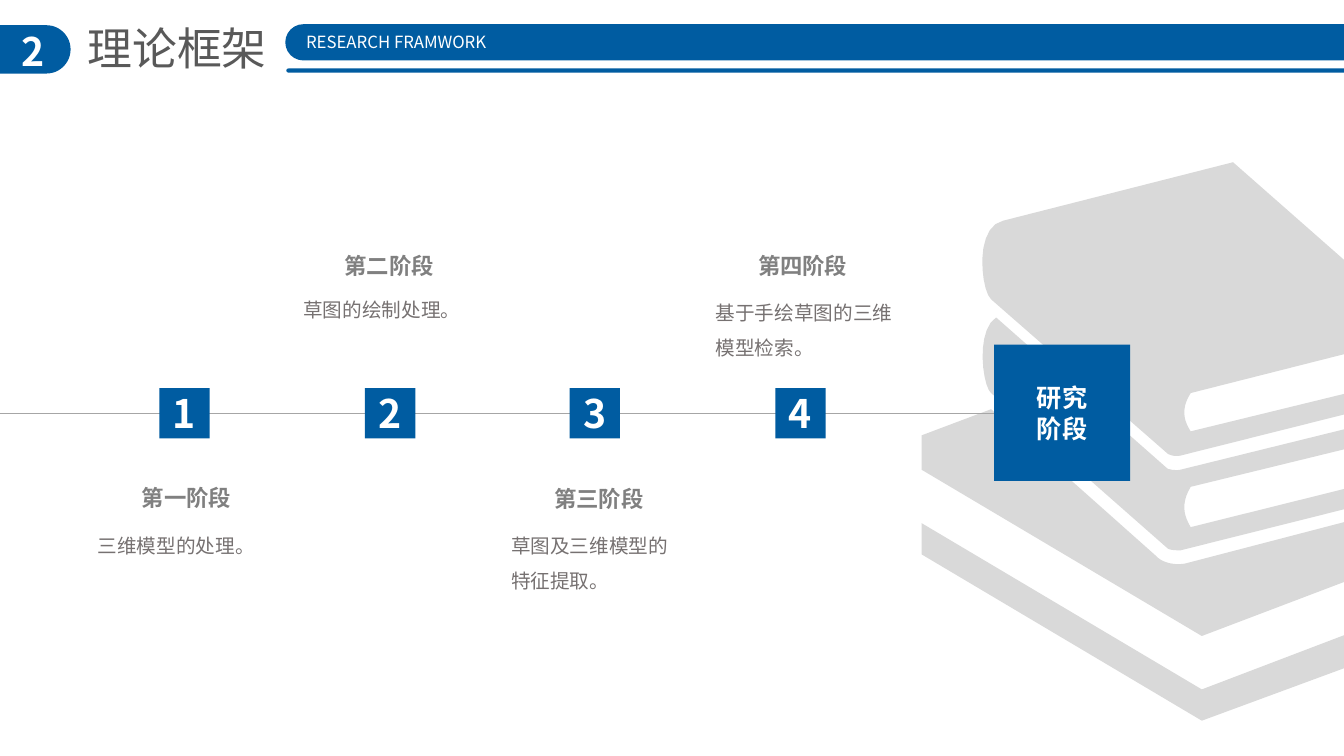
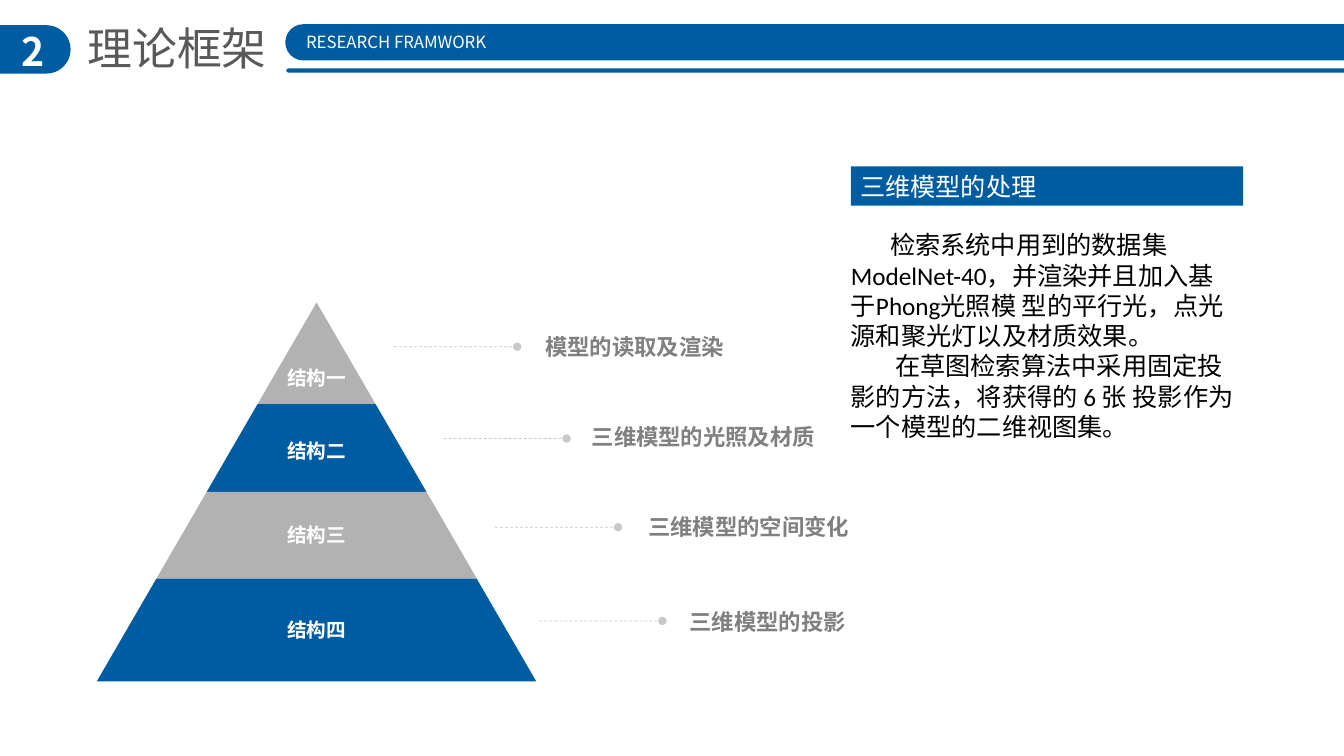
from pptx import Presentation
from pptx.dml.color import RGBColor
from pptx.enum.dml import MSO_LINE
from pptx.enum.shapes import MSO_CONNECTOR, MSO_SHAPE
from pptx.enum.text import MSO_ANCHOR, MSO_AUTO_SIZE, PP_ALIGN
from pptx.oxml.ns import qn
from pptx.util import Emu, Pt
from lxml import etree

PX = 9144
FINE = 12
CURVE_STEPS = 10
BLANK_LAYOUT = 6
FONT = "Noto Sans CJK SC"
BODY_FONT = "Calibri"

BLUE = RGBColor(0x00, 0x5C, 0xA1)
WHITE = RGBColor(0xFF, 0xFF, 0xFF)
BLACK = RGBColor(0x00, 0x00, 0x00)
TITLE_GRAY = RGBColor(0x59, 0x59, 0x59)
LABEL_GRAY = RGBColor(0x80, 0x80, 0x80)
BODY_GRAY = RGBColor(0x76, 0x71, 0x71)
AXIS_GRAY = RGBColor(0xA6, 0xA6, 0xA6)
TIER_GRAY = RGBColor(0xB2, 0xB2, 0xB2)
BOOK_GRAY = RGBColor(0xD9, 0xD9, 0xD9)

RECTANGLE = MSO_SHAPE.RECTANGLE
ROUNDED = MSO_SHAPE.ROUNDED_RECTANGLE
STRAIGHT = MSO_CONNECTOR.STRAIGHT
DASH = MSO_LINE.DASH
MIDDLE = MSO_ANCHOR.MIDDLE
LEFT = PP_ALIGN.LEFT
CENTER = PP_ALIGN.CENTER
FIT_TEXT = MSO_AUTO_SIZE.SHAPE_TO_FIT_TEXT

BOOK_OUTLINES = [
    [(484, 249), (484, 269), (267, 322), (258, 337, 259, 349, 267, 362),
     (484, 308), (484, 328), (257, 385), (252, 385, 247, 385, 244, 383),
     (69, 229), (61, 223, 53, 168, 74, 154), (244, 304),
     (247, 305, 252, 306, 257, 305)],
    [(81, 58), (309, 0), (484, 154), (484, 174), (267, 229),
     (258, 243, 259, 255, 267, 267), (484, 214), (484, 234), (257, 291),
     (252, 292, 247, 291, 244, 289), (69, 136), (59, 127, 52, 64, 81, 58)],
    [(278, 523), (0, 358), (0, 389), (278, 554), (438, 495), (438, 462)],
    [(519, 417), (452, 441), (452, 540), (485, 500), (519, 515), (519, 465),
     (548, 454), (562, 448, 567, 443, 567, 430), (567, 352),
     (567, 346, 564, 341, 559, 338), (496, 301), (496, 337), (262, 398),
     (252, 400, 239, 398, 232, 390), (69, 245), (0, 271), (0, 305),
     (278, 470), (536, 372), (536, 424), (519, 431)],
]

STAGES = [
    ("第一阶段", (131, 475), "三维模型的处理。", (87, 513, 199, 41)),
    ("第二阶段", (332, 245), "草图的绘制处理。", (291, 279, 204, 41)),
    ("第三阶段", (540, 476), "草图及三维模型的特征提取。", (497, 513, 195, 77)),
    ("第四阶段", (742, 245), "基于手绘草图的三维模型检索。", (700, 282, 207, 77)),
]

TIERS = [
    ("结构一", 0, 101, 58),
    ("结构二", 101, 188, 131),
    ("结构三", 188, 274, 214),
    ("结构四", 274, 376, 308),
]

CALLOUTS = [
    ("模型的读取及渲染", (391, 344), (531, 326, 200, 37)),
    ("三维模型的光照及材质", (440, 435), (577, 415, 245, 37)),
    ("三维模型的空间变化", (491, 523), (633, 504, 222, 37)),
    ("三维模型的投影", (535, 616), (674, 598, 177, 37)),
]

MODEL_NOTES = [
    ("检索系统中用到的数据集 ModelNet-40，并渲染并且加入基于Phong光照模 型的平行光，点光源和聚光灯以及材质效果。", 39),
    ("在草图检索算法中采用固定投影的方法，将获得的 6 张 投影作为一个模型的二维视图集。", 44),
]


def px(*lengths):
    return [Emu(round(length * PX)) for length in lengths]


def write(paragraph, text, *, size, color, bold=False, align=LEFT,
          spacing=None, indent=0, font=FONT):
    paragraph.alignment = align
    if spacing:
        paragraph.line_spacing = spacing
    if indent:
        paragraph._p.get_or_add_pPr().set("indent", str(indent * PX))
    run = paragraph.add_run()
    run.text = text
    run.font.size = Pt(size)
    run.font.bold = bold
    run.font.color.rgb = color
    run.font.name = font
    east_asian = etree.SubElement(run._r.get_or_add_rPr(), qn("a:ea"))
    east_asian.set("typeface", FONT)


def add_text_box(slide, box, wrap=True):
    frame = slide.shapes.add_textbox(*px(*box)).text_frame
    frame.word_wrap = wrap
    frame.auto_size = FIT_TEXT
    return frame


def add_text(slide, box, text, wrap=True, **text_format):
    write(add_text_box(slide, box, wrap).paragraphs[0], text, **text_format)


def paint(shape, color):
    shape.shadow.inherit = False
    shape.fill.solid()
    shape.fill.fore_color.rgb = color
    shape.line.fill.background()


def add_block(slide, box, kind=RECTANGLE):
    shape = slide.shapes.add_shape(kind, *px(*box))
    paint(shape, BLUE)
    if kind == ROUNDED:
        shape.adjustments[0] = 0.5
    return shape


def add_block_text(slide, box, text, margin, **text_format):
    frame = add_block(slide, box).text_frame
    frame.word_wrap = True
    frame.vertical_anchor = MIDDLE
    frame.margin_left, frame.margin_right = px(margin, margin)
    frame.margin_top = frame.margin_bottom = 0
    write(frame.paragraphs[0], text, color=WHITE, **text_format)


def add_line(slide, left, top, length, color):
    connector = slide.shapes.add_connector(
        STRAIGHT, *px(left, top, left + length, top))
    connector.line.width = Pt(0.5)
    connector.line.color.rgb = color
    etree.SubElement(connector.element.spPr, qn("a:effectLst"))
    return connector


def add_leader(slide, left, top, length):
    connector = add_line(slide, left, top, length, TIER_GRAY)
    connector.line.dash_style = DASH
    line = connector.element.spPr.find(qn("a:ln"))
    color = line.find(".//" + qn("a:srgbClr"))
    etree.SubElement(color, qn("a:alpha")).set("val", "70000")
    etree.SubElement(line, qn("a:tailEnd")).set("type", "oval")


def flatten(outline):
    points = [outline[0]]
    for segment in outline[1:]:
        if len(segment) == 2:
            points.append(segment)
            continue
        x0, y0 = points[-1]
        x1, y1, x2, y2, x3, y3 = segment
        for step in range(1, CURVE_STEPS + 1):
            t = step / CURVE_STEPS
            u = 1 - t
            weights = u ** 3, 3 * u * u * t, 3 * u * t * t, t ** 3
            points.append(tuple(
                sum(weight * value for weight, value in zip(weights, values))
                for values in ((x0, x1, x2, x3), (y0, y1, y2, y3))))
    return points


def add_outline(slide, left, top, outlines, color):
    builder = None
    for outline in outlines:
        points = [(round((left + x) * FINE), round((top + y) * FINE))
                  for x, y in flatten(outline)]
        if builder is None:
            builder = slide.shapes.build_freeform(*points[0], scale=PX / FINE)
        else:
            builder.move_to(*points[0])
        builder.add_line_segments(points[1:], close=True)
    paint(builder.convert_to_shape(), color)


def add_header(slide, left, top):
    add_block(slide, (left - 28, top + 9, 98, 48), ROUNDED)
    add_text(slide, (left + 7, top + 6, 51, 57), "2",
             size=28, color=WHITE, bold=True, align=CENTER)
    add_text(slide, (left + 77, top, 200, 64), "理论框架", wrap=False,
             size=32, color=TITLE_GRAY)
    add_block(slide, (left + 283, top + 8, 1103, 36), ROUNDED)
    add_block(slide, (left + 284, top + 52, 1103, 4), ROUNDED)
    add_text(slide, (left + 287, top + 11, 212, 30), "RESEARCH FRAMWORK",
             wrap=False, size=12, color=WHITE, align=CENTER)


def add_timeline(slide, left, axis):
    add_line(slide, left - 14, axis, 1000, AXIS_GRAY)
    for index, (title, corner, detail, detail_box) in enumerate(STAGES):
        marker_left = left + 158 + round(index * 611 / 3)
        add_block_text(slide, (marker_left, axis - 25, 50, 50), str(index + 1), 0,
                       size=28, bold=True, align=CENTER)
        add_text(slide, (*corner, 110, 37), title, wrap=False,
                 size=16, color=LABEL_GRAY, bold=True)
        add_text(slide, detail_box, detail, size=14, color=BODY_GRAY, spacing=1.5)
    add_block_text(slide, (left + 986, axis - 68, 135, 135), "研究阶段", 40,
                   size=18, bold=True, align=CENTER)


def add_pyramid(slide, left, top, width, height):
    middle = left + width / 2
    for index, (label, upper, lower, label_top) in enumerate(TIERS):
        near, far = (depth * width / height / 2 for depth in (upper, lower))
        tier = [(-near, upper), (near, upper), (far, lower), (-far, lower)]
        add_outline(slide, middle, top, [tier], BLUE if index % 2 else TIER_GRAY)
        add_text(slide, (middle - 39, top + label_top, 79, 34), label, wrap=False,
                 size=14, color=WHITE, bold=True)


def add_callouts(slide):
    for label, start, label_box in CALLOUTS:
        add_leader(slide, *start, 122)
        add_text(slide, label_box, label, wrap=False,
                 size=16, color=LABEL_GRAY, bold=True)


def add_model_panel(slide, left, top):
    add_block_text(slide, (left, top, 389, 39), "三维模型的处理", 9, size=18)
    frame = add_text_box(slide, (left - 10, top + 58, 403, 222))
    for index, (text, indent) in enumerate(MODEL_NOTES):
        paragraph = frame.add_paragraph() if index else frame.paragraphs[0]
        write(paragraph, text, size=18, color=BLACK, indent=indent, font=BODY_FONT)


def build_stages_slide(slide):
    add_outline(slide, 914, 161, BOOK_OUTLINES, BOOK_GRAY)
    add_header(slide, 0, 16)
    add_timeline(slide, 0, 410)


def build_structure_slide(slide):
    add_header(slide, 0, 16)
    add_callouts(slide)
    add_pyramid(slide, 96, 300, 436, 376)
    add_model_panel(slide, 844, 165)


def main():
    presentation = Presentation()
    presentation.slide_width, presentation.slide_height = px(1333, 750)
    layout = presentation.slide_layouts[BLANK_LAYOUT]
    for build in (build_stages_slide, build_structure_slide):
        build(presentation.slides.add_slide(layout))
    presentation.save("out.pptx")


if __name__ == "__main__":
    main()
